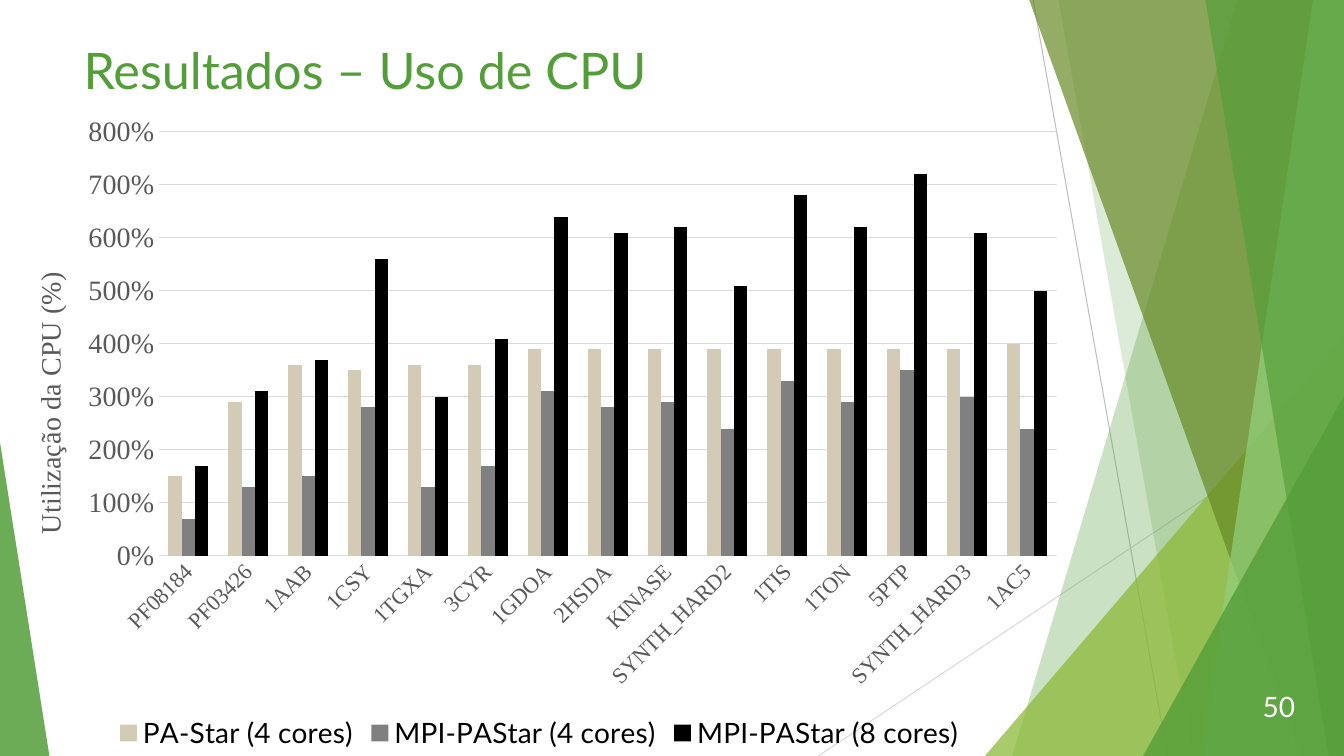
from lxml import etree
from pptx import Presentation
from pptx.chart.data import CategoryChartData
from pptx.dml.color import RGBColor
from pptx.enum import chart as charts, shapes, text
from pptx.oxml import parse_xml
from pptx.oxml.ns import nsdecls, qn
from pptx.util import Pt

GREEN = RGBColor(0x54, 0x9E, 0x39)
LIME = RGBColor(0x8A, 0xB8, 0x33)
OLIVE = RGBColor(0x67, 0x8A, 0x26)
MINT = RGBColor(0x93, 0xD0, 0x7D)
SAND = RGBColor(0xD3, 0xCB, 0xB6)
GRAY = RGBColor(0x80, 0x80, 0x80)
DARK_GRAY = RGBColor(0x59, 0x59, 0x59)
MID_GRAY = RGBColor(0xBF, 0xBF, 0xBF)
LIGHT_GRAY = RGBColor(0xD9, 0xD9, 0xD9)
BLACK = RGBColor(0, 0, 0)
WHITE = RGBColor(0xFF, 0xFF, 0xFF)

SANS, SERIF = "Lato", "Times New Roman"
WIDTH, HEIGHT = 960, 540

PROTEINS = ["PF08184", "PF03426", "1AAB", "1CSY", "1TGXA", "3CYR", "1GDOA", "2HSDA",
            "KINASE", "SYNTH_HARD2", "1TIS", "1TON", "5PTP", "SYNTH_HARD3", "1AC5"]
CPU_USE = [
    ("PA-Star (4 cores)", SAND,
     [1.5, 2.9, 3.6, 3.5, 3.6, 3.6, 3.9, 3.9, 3.9, 3.9, 3.9, 3.9, 3.9, 3.9, 4]),
    ("MPI-PAStar (4 cores)", GRAY,
     [0.7, 1.3, 1.5, 2.8, 1.3, 1.7, 3.1, 2.8, 2.9, 2.4, 3.3, 2.9, 3.5, 3, 2.4]),
    ("MPI-PAStar (8 cores)", BLACK,
     [1.7, 3.1, 3.7, 5.6, 3, 4.1, 6.4, 6.1, 6.2, 5.1, 6.8, 6.2, 7.2, 6.1, 5]),
]


def paint(shape, color, opacity):
    """Fill a shape with a see-through colour (opacity in percent), without outline."""
    shape.shadow.inherit = False
    shape.line.fill.background()
    shape.fill.solid()
    shape.fill.fore_color.rgb = color
    tint = shape.fill._xPr.find(".//" + qn("a:srgbClr"))
    etree.SubElement(tint, qn("a:alpha")).set("val", str(opacity * 1000))


def add_band(page, top_x, bottom_x, color, opacity):
    """Draw a full-height band from a slanted left edge to the slide's right edge."""
    builder = page.shapes.build_freeform(Pt(top_x), Pt(-0.6))
    builder.add_line_segments([(Pt(WIDTH), Pt(-0.6)), (Pt(WIDTH), Pt(HEIGHT)),
                               (Pt(bottom_x), Pt(HEIGHT))])
    paint(builder.convert_to_shape(), color, opacity)


def add_corner(page, left, top, width, apex, color, opacity):
    """Draw a right triangle standing on the slide's bottom edge."""
    corner = page.shapes.add_shape(shapes.MSO_SHAPE.ISOSCELES_TRIANGLE, Pt(left), Pt(top),
                                   Pt(width), Pt(HEIGHT - top))
    corner.adjustments[0] = apex
    paint(corner, color, opacity)


def add_line(page, start, end, color):
    line = page.shapes.add_connector(shapes.MSO_CONNECTOR.STRAIGHT,
                                     *map(Pt, start + end))
    line.line.color.rgb = color
    line.line.width = Pt(0.75)
    etree.SubElement(line._element.spPr, qn("a:effectLst"))


def set_font(font, size, name, color):
    font.size = Pt(size)
    font.name = name
    font.color.rgb = color
    font.bold = False


def add_text(page, area, words, size, color, align, anchor):
    box = page.shapes.add_textbox(*map(Pt, area))
    frame = box.text_frame
    frame.word_wrap = True
    frame.vertical_anchor = anchor
    para = frame.paragraphs[0]
    para.alignment = align
    span = para.add_run()
    span.text = words
    set_font(span.font, size, SANS, color)


def place(element, index, target="", **fractions):
    """Give a chart part a fixed place, in fractions of the chart's size."""
    for old in element.findall(qn("c:layout")):
        element.remove(old)
    modes = "".join(f'<c:{side}Mode val="edge"/>' for side in "xy")
    sizes = "".join(f'<c:{key} val="{value}"/>' for key, value in fractions.items())
    element.insert(index, parse_xml(
        f'<c:layout {nsdecls("c")}><c:manualLayout>{target}{modes}{sizes}'
        '</c:manualLayout></c:layout>'))


def style_axis(axis, size):
    axis.major_tick_mark = axis.minor_tick_mark = charts.XL_TICK_MARK.NONE
    set_font(axis.tick_labels.font, size, SERIF, DARK_GRAY)


def style_line(line):
    line.color.rgb = LIGHT_GRAY
    line.width = Pt(0.75)


def add_axis_title(axis, words):
    axis.has_title = True
    frame = axis.axis_title.text_frame
    frame._txBody.bodyPr.set("rot", "-5400000")
    span = frame.paragraphs[0].add_run()
    span.text = words
    set_font(span.font, 20, SERIF, DARK_GRAY)
    place(axis.axis_title._element, 1, x=0.025, y=0.25)


def add_cpu_chart(page):
    data = CategoryChartData(number_format="0%")
    data.categories = PROTEINS
    for name, _, values in CPU_USE:
        data.add_series(name, values)
    area = map(Pt, (0, 74.2, 770.4, 465.8))
    chart = page.shapes.add_chart(charts.XL_CHART_TYPE.COLUMN_CLUSTERED, *area, data).chart
    set_font(chart.font, 10, SANS, BLACK)
    chart.has_title = False

    plot = chart.plots[0]
    plot.gap_width = 150
    plot.overlap = 0
    plot.vary_by_categories = False
    for series, (_, color, _) in zip(plot.series, CPU_USE):
        series.format.fill.solid()
        series.format.fill.fore_color.rgb = color

    names = chart.category_axis
    style_axis(names, 16)
    style_line(names.format.line)
    names._element.find(qn("c:txPr")).find(qn("a:bodyPr")).set("rot", "-2700000")

    usage = chart.value_axis
    style_axis(usage, 20)
    usage.minimum_scale, usage.maximum_scale, usage.major_unit = 0, 8, 1
    usage.format.line.fill.background()
    style_line(usage.major_gridlines.format.line)
    usage.tick_labels.number_format = "0%"
    usage.tick_labels.number_format_is_linked = False
    add_axis_title(usage, "Utilização da CPU (%)")

    chart.has_legend = True
    chart.legend.position = charts.XL_LEGEND_POSITION.BOTTOM
    chart.legend.include_in_layout = False
    set_font(chart.legend.font, 20, SANS, BLACK)
    place(chart._chartSpace.chart.plotArea, 0, '<c:layoutTarget val="inner"/>',
          x=0.147, y=0.043, w=0.833, h=0.65)


def add_backdrop(page):
    add_line(page, (738, 0), (834, HEIGHT), MID_GRAY)
    add_line(page, (WIDTH, 290), (584.6, HEIGHT), LIGHT_GRAY)
    add_band(page, 884, 723, GREEN, 30)
    add_band(page, 756, 852, GREEN, 20)
    add_corner(page, 703.5, 240, 256.5, 1, LIME, 72)
    add_band(page, 735, 929.5, OLIVE, 70)
    add_band(page, 938, 858, MINT, 70)
    add_band(page, 861, 949, GREEN, 65)
    add_corner(page, 816.5, 283, 143.5, 1, GREEN, 80)
    add_corner(page, 0, 316, 35.3, 0, GREEN, 85)


def main():
    deck = Presentation()
    deck.slide_width, deck.slide_height = Pt(WIDTH), Pt(HEIGHT)
    page = deck.slides.add_slide(deck.slide_layouts[6])
    add_backdrop(page)
    add_text(page, (52.6, 24.5, 676.8, 103.7), "Resultados – Uso de CPU", 36, GREEN,
             text.PP_ALIGN.LEFT, text.MSO_ANCHOR.TOP)
    add_cpu_chart(page)
    add_text(page, (866, 490.3, 66.2, 28.8), "50", 20, WHITE,
             text.PP_ALIGN.RIGHT, text.MSO_ANCHOR.MIDDLE)
    deck.save("out.pptx")


if __name__ == "__main__":
    main()
